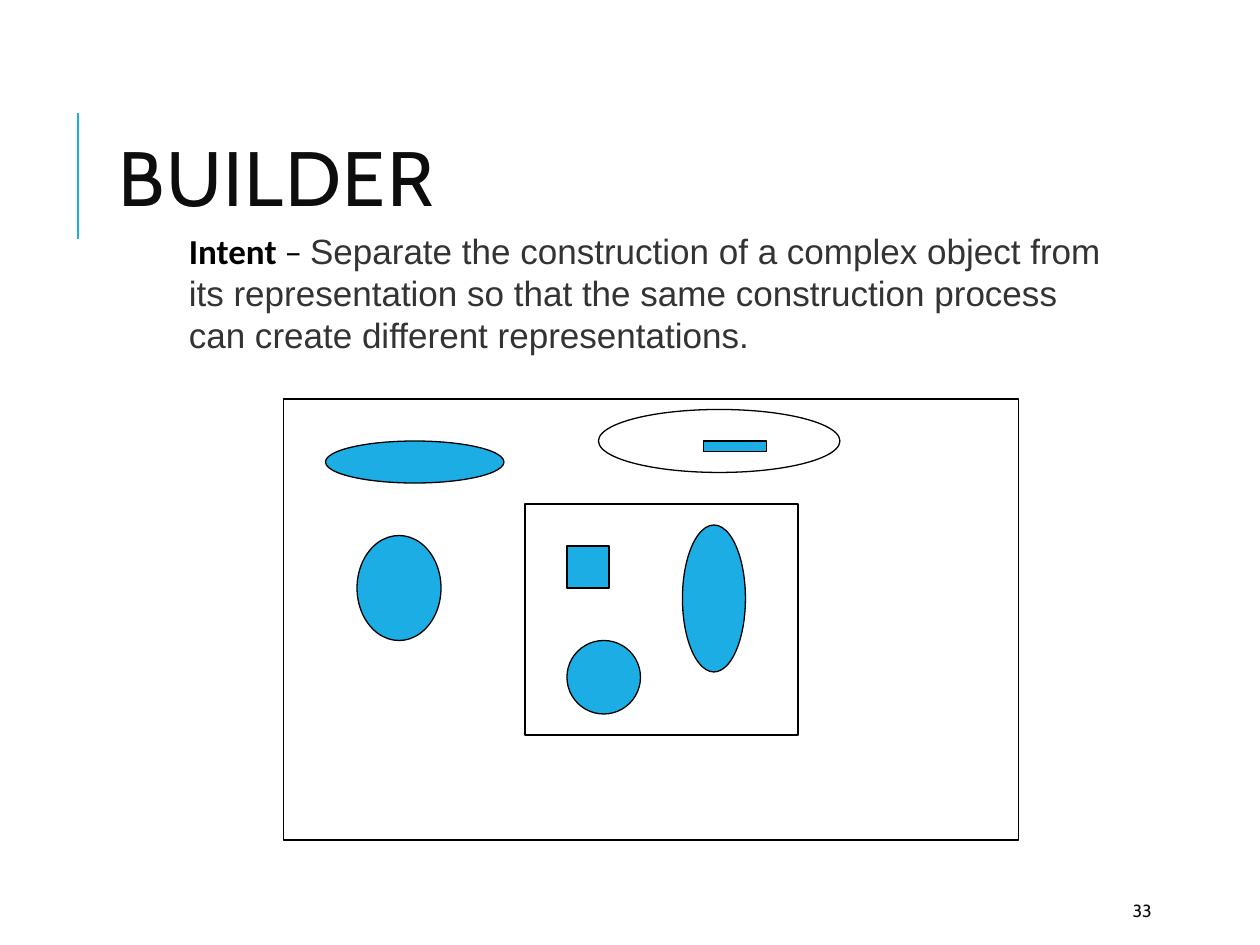
from lxml import etree
from pptx import Presentation
from pptx.dml.color import RGBColor
from pptx.enum.shapes import MSO_CONNECTOR, MSO_SHAPE
from pptx.enum.text import MSO_ANCHOR, PP_ALIGN
from pptx.oxml.ns import qn
from pptx.util import Inches, Pt

RECT, OVAL = MSO_SHAPE.RECTANGLE, MSO_SHAPE.OVAL
LINE = MSO_CONNECTOR.STRAIGHT
TOP, MID = MSO_ANCHOR.TOP, MSO_ANCHOR.MIDDLE
LEFT = PP_ALIGN.LEFT
BLUE, WHITE, BLACK, INK, GREY = "1CADE4", "FFFFFF", "000000", "0D0D0D", "333333"
CELL = Inches(1) // 12

SHAPES = [
    (RECT, WHITE, 27, 38, 70, 42),
    (OVAL, BLUE, 31, 42, 17, 4),
    (OVAL, BLUE, 34, 51, 8, 10),
    (RECT, WHITE, 50, 48, 26, 22),
    (RECT, BLUE, 54, 52, 4, 4),
    (OVAL, BLUE, 54, 61, 7, 7),
    (OVAL, BLUE, 65, 50, 6, 14),
    (OVAL, WHITE, 57, 39, 23, 6),
    (RECT, BLUE, 67, 42, 6, 1),
]
INTENT = ("Separate the construction of a complex object from its representation "
          "so that the same construction process can create different representations.")


def color(code):
    """Turn a hex string into a colour."""
    return RGBColor.from_string(code)


def write(par, text, font="Cabin", size=20, ink=INK, bold=False, gap=0):
    """Add a formatted run to a paragraph."""
    run = par.add_run()
    run.text = text
    run.font.name, run.font.size, run.font.bold = font, Pt(size), bold
    run.font.color.rgb = color(ink)
    if gap:
        run.font._element.set("spc", str(gap * 100))


def frame(box, left, top, width, height, anchor=TOP):
    """Place a text holder and return its first paragraph."""
    box.left, box.top = Inches(left), Inches(top)
    box.width, box.height = Inches(width), Inches(height)
    box.text_frame.word_wrap = True
    box.text_frame.vertical_anchor = anchor
    par = box.text_frame.paragraphs[0]
    par.alignment = LEFT
    return par


def label(slide, *place, anchor=TOP):
    """Add a text box and return its first paragraph."""
    return frame(slide.shapes.add_textbox(0, 0, 0, 0), *place, anchor=anchor)


def draw(slide, kind, fill, *cells):
    """Add an outlined shape placed in grid cells."""
    shape = slide.shapes.add_shape(kind, *(CELL * n for n in cells))
    shape.shadow.inherit = False
    shape.fill.solid()
    shape.fill.fore_color.rgb = color(fill)
    shape.line.color.rgb = color(BLACK)
    shape.line.width = Pt(0.75)


def rule(slide, x, top, end):
    """Add the upright accent line."""
    line = slide.shapes.add_connector(LINE, Inches(x), Inches(end), Inches(x), Inches(top))
    line.line.color.rgb = color(BLUE)
    line.line.width = Pt(1.5)
    etree.SubElement(line._element.spPr, qn("a:effectLst"))


def main():
    """Build and save the slide."""
    deck = Presentation()
    deck.slide_width, deck.slide_height = Inches(10), Inches(7.5)
    slide = deck.slides.add_slide(deck.slide_layouts[5])
    rule(slide, 0.62, 0.9, 1.9)
    title = frame(slide.shapes.title, 0.84, 0.64, 7.97, 1.64, anchor=MID)
    title.line_spacing = 0.8
    write(title, "BUILDER", size=44, gap=1)
    for item in SHAPES:
        draw(slide, *item)
    body = label(slide, 1.4, 1.77, 7.52, 1.11)
    write(body, "Intent", font="Calibri", ink=BLACK, bold=True)
    write(body, " – ", font="Calibri", ink=BLACK)
    write(body, INTENT, font="Arial", ink=GREY)
    write(label(slide, 8.89, 7.08, 0.8, 0.3, anchor=MID), "33", size=10)
    deck.save("out.pptx")


if __name__ == "__main__":
    main()
